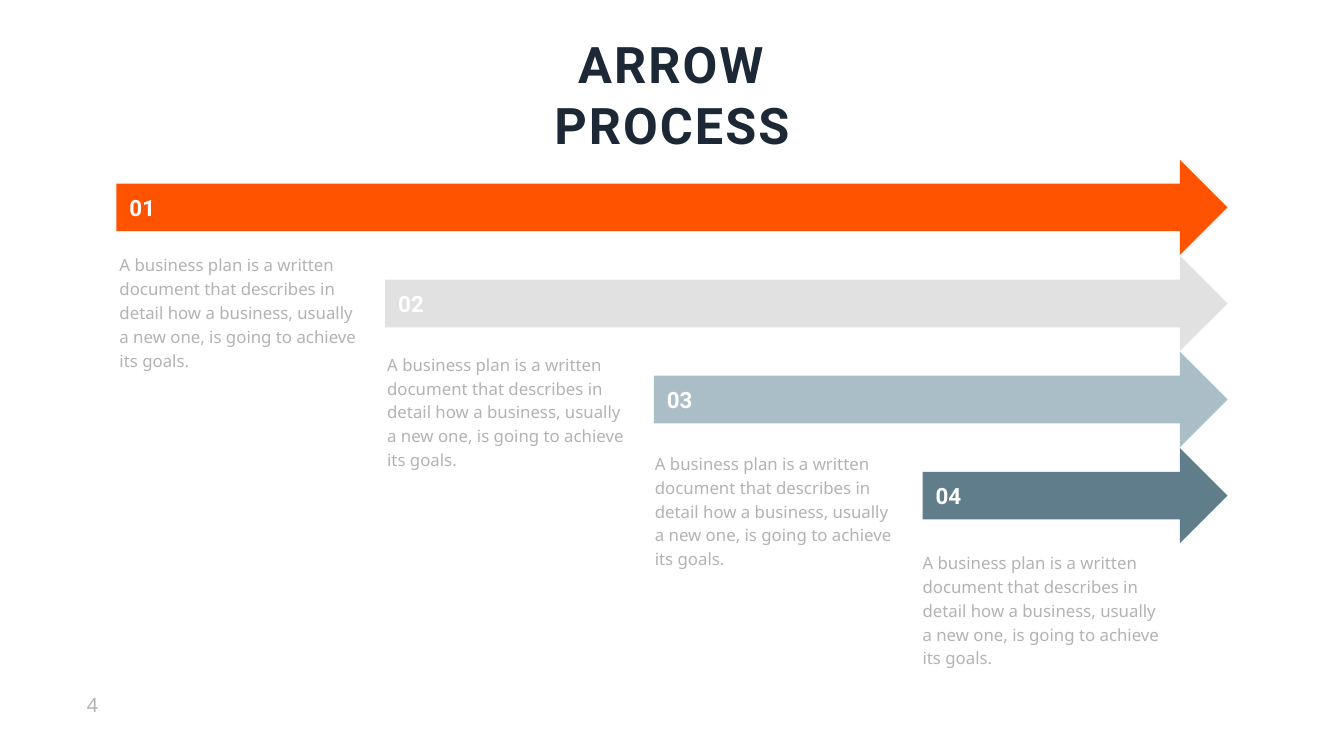
from dataclasses import dataclass

from pptx import Presentation
from pptx.dml.color import RGBColor
from pptx.enum.shapes import MSO_SHAPE
from pptx.enum.text import MSO_ANCHOR, PP_ALIGN
from pptx.util import Inches, Pt

ARROW = MSO_SHAPE.RIGHT_ARROW
TOP, MIDDLE = MSO_ANCHOR.TOP, MSO_ANCHOR.MIDDLE
LEFT, CENTER = PP_ALIGN.LEFT, PP_ALIGN.CENTER

WIDE, HIGH = 26.66, 15
HEAD, BODY = "Roboto", "Noto Sans"
COLORS = {
    "ink": "1C2835",
    "gray": "B3B3B3",
    "white": "FFFFFF",
    "orange": "FF5300",
    "silver": "E1E1E1",
    "mist": "AABEC8",
    "slate": "5F7D8B",
}
NOTE = ("A business plan is a written document that describes in detail "
        "how a business, usually a new one, is going to achieve its goals.")

# Arrow grid: each step starts one column right and one row down
START, FIRST = 2.31, 3.17
COL, ROW = 5.33, 1.906
TIP, THICK = 24.35, 1.89


@dataclass
class Box:
    left: float
    top: float
    width: float
    height: float

    def place(self) -> list[int]:
        return [Inches(n) for n in (self.left, self.top, self.width, self.height)]


@dataclass
class Style:
    font: str
    size: float
    color: str
    bold: bool = False
    align: PP_ALIGN = LEFT
    anchor: MSO_ANCHOR = TOP
    wrap: bool = False
    pad: tuple[float, float] = (0.1, 0.05)
    pitch: float = 0
    track: float = 0


TITLE = Style(HEAD, 72, "ink", True, CENTER, wrap=True, track=3)
LABEL = Style(HEAD, 32, "white", True, anchor=MIDDLE)
PROSE = Style(BODY, 24, "gray", wrap=True, pad=(0.24, 0.12), pitch=34)
PAGE = Style(BODY, 28, "gray")


def share(left: float, top: float, width: float, height: float) -> Box:
    """Box from shares of the slide's size."""
    return Box(left * WIDE, top * HIGH, width * WIDE, height * HIGH)


def paint(name: str) -> RGBColor:
    return RGBColor.from_string(COLORS[name])


def write(slide, box: Box, text: str, style: Style) -> None:
    frame = slide.shapes.add_textbox(*box.place()).text_frame
    frame.word_wrap = style.wrap
    frame.vertical_anchor = style.anchor
    frame.margin_left = frame.margin_right = Inches(style.pad[0])
    frame.margin_top = frame.margin_bottom = Inches(style.pad[1])
    para = frame.paragraphs[0]
    para.alignment = style.align
    if style.pitch:
        para.line_spacing = Pt(style.pitch)
    run = para.add_run()
    run.text = text
    if style.track:
        run._r.get_or_add_rPr().set("spc", str(int(style.track * 100)))
    font = para.font
    font.name, font.size, font.bold = style.font, Pt(style.size), style.bold
    font.color.rgb = paint(style.color)


def step(slide, index: int, color: str) -> None:
    left, top = START + index * COL, FIRST + index * ROW
    arrow = slide.shapes.add_shape(
        ARROW, *Box(left, top, TIP - left, THICK).place())
    arrow.shadow.inherit = False
    arrow.fill.solid()
    arrow.fill.fore_color.rgb = paint(color)
    arrow.line.fill.background()
    write(slide, Box(left + 0.16, top + 0.63, 0.71, 0.64),
          f"{index + 1:02}", LABEL)
    # Notes drift slightly from the arrow grid
    write(slide, Box(2.13 + index * 5.31, 4.87 + index * 1.97, 5.3, 2.59),
          NOTE, PROSE)


def main() -> None:
    deck = Presentation()
    deck.slide_width, deck.slide_height = Inches(WIDE), Inches(HIGH)
    slide = deck.slides.add_slide(deck.slide_layouts[6])

    # Page number
    write(slide, share(0.061, 0.913, 0.025, 0.038), "4", PAGE)

    # Steps
    for index, color in enumerate(("orange", "silver", "mist", "slate")):
        step(slide, index, color)

    # Title
    write(slide, share(0.3425, 0.041, 0.315, 0.087), "ARROW PROCESS", TITLE)

    deck.save("out.pptx")


if __name__ == "__main__":
    main()
